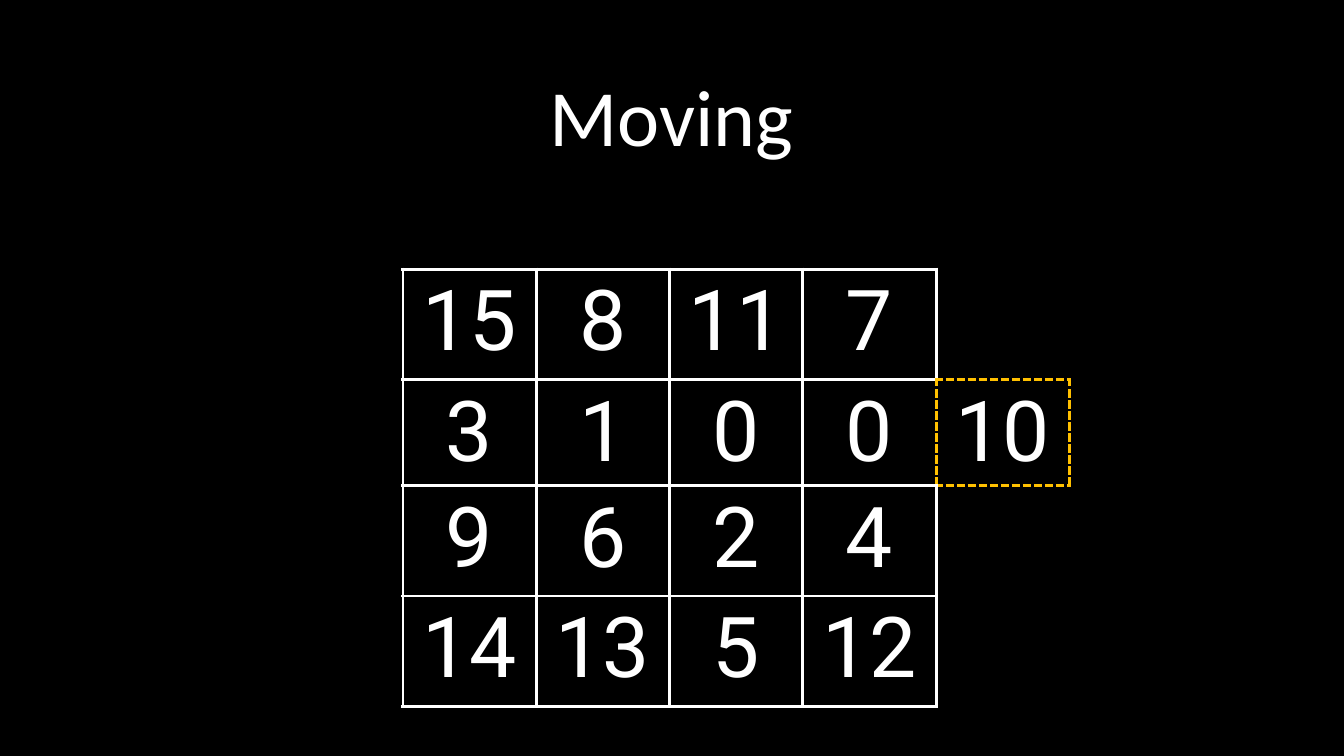
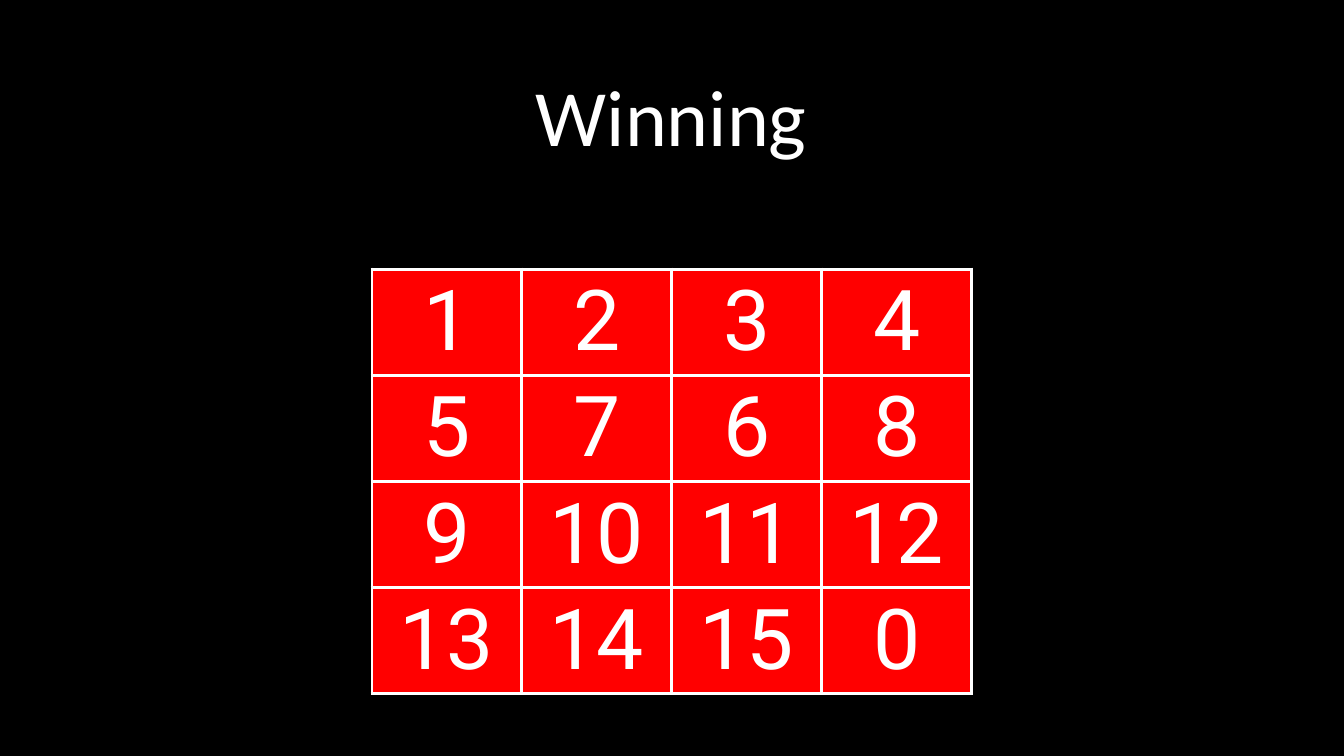
"""Build two slides that show the boards of a number puzzle."""
from dataclasses import dataclass

import lxml.etree
import pptx
import pptx.dml.color
import pptx.enum.text
import pptx.oxml.ns
import pptx.slide
import pptx.table
import pptx.text.text
import pptx.util
from pptx.util import Inches

BLACK, WHITE, RED, GOLD = "000000", "FFFFFF", "FF0000", "FFC000"
SIDES = {"a:lnL": (0, -1), "a:lnR": (0, 1), "a:lnT": (-1, 0), "a:lnB": (1, 0)}
SIZE = 4


@dataclass(frozen=True)
class Board:
    title: str
    rows: list[list[str]]
    left: float
    width: float
    heights: list[float]
    fill: str


BOARDS = [
    Board(
        "Moving",
        [
            ["15", "8", "11", "7", ""],
            ["3", "1", "0", "0", "10"],
            ["9", "6", "2", "4", ""],
            ["14", "13", "5", "12", ""],
        ],
        5.33, 1.764, [1.46, 1.4, 1.46, 1.46], BLACK,
    ),
    Board(
        "Winning",
        [
            ["1", "2", "3", "4"],
            ["5", "7", "6", "8"],
            ["9", "10", "11", "12"],
            ["13", "14", "15", "0"],
        ],
        4.92, 1.984, [1.4] * SIZE, RED,
    ),
]


def color(code: str) -> pptx.dml.color.RGBColor:
    return pptx.dml.color.RGBColor.from_string(code)


def style(para: pptx.text.text._Paragraph, name: str, size: int) -> None:
    para.alignment = pptx.enum.text.PP_ALIGN.CENTER
    para.font.name = name
    para.font.size = pptx.util.Pt(size)
    para.font.color.rgb = color(WHITE)


def add_title(slide: pptx.slide.Slide, text: str) -> None:
    title = slide.shapes.title
    title.left, title.top = Inches(1.26), Inches(0.26)
    title.width, title.height = Inches(15.24), Inches(2.51)
    frame = title.text_frame
    frame.text = text
    frame.auto_size = pptx.enum.text.MSO_AUTO_SIZE.NONE
    frame.vertical_anchor = pptx.enum.text.MSO_ANCHOR.MIDDLE
    frame.margin_left = frame.margin_right = Inches(0.04)
    frame.margin_top = frame.margin_bottom = Inches(0.04)
    style(frame.paragraphs[0], "Calibri", 76)


def is_tile(board: Board, row: int, col: int) -> bool:
    return 0 <= row < SIZE and 0 <= col < len(board.rows[row]) and bool(board.rows[row][col])


def add_edges(cell: pptx.table._Cell, board: Board, row: int, col: int) -> None:
    props = cell._tc.get_or_add_tcPr()
    for place, (tag, (down, right)) in enumerate(SIDES.items()):
        pair = [(row, col), (row + down, col + right)]
        tiles = [spot for spot in pair if is_tile(board, *spot)]
        line = lxml.etree.Element(pptx.oxml.ns.qn(tag), w=str(pptx.util.Pt(3)))
        props.insert(place, line)
        if not tiles:
            lxml.etree.SubElement(line, pptx.oxml.ns.qn("a:noFill"))
            continue
        moved = any(spot[1] >= SIZE for spot in tiles)
        fill = lxml.etree.SubElement(line, pptx.oxml.ns.qn("a:solidFill"))
        lxml.etree.SubElement(fill, pptx.oxml.ns.qn("a:srgbClr"), val=GOLD if moved else WHITE)
        dash = "dash" if moved else "solid"
        lxml.etree.SubElement(line, pptx.oxml.ns.qn("a:prstDash"), val=dash)


def add_board(slide: pptx.slide.Slide, board: Board) -> None:
    count = len(board.rows[0])
    table = slide.shapes.add_table(
        SIZE, count, Inches(board.left), Inches(3.56),
        Inches(board.width * count), Inches(sum(board.heights)),
    ).table
    table.first_row = table.horz_banding = False
    for col in table.columns:
        col.width = Inches(board.width)
    for row, (texts, height) in enumerate(zip(board.rows, board.heights)):
        table.rows[row].height = Inches(height)
        for col, text in enumerate(texts):
            cell = table.cell(row, col)
            if text:
                cell.text = text
                style(cell.text_frame.paragraphs[0], "Roboto", 80)
                cell.fill.solid()
                cell.fill.fore_color.rgb = color(board.fill)
            else:
                cell.fill.background()
            add_edges(cell, board, row, col)


def main() -> None:
    deck = pptx.Presentation()
    deck.slide_width, deck.slide_height = Inches(17.78), Inches(10)
    back = deck.slide_master.background.fill
    back.solid()
    back.fore_color.rgb = color(BLACK)
    for board in BOARDS:
        slide = deck.slides.add_slide(deck.slide_layouts.get_by_name("Title Only"))
        add_title(slide, board.title)
        add_board(slide, board)
    deck.save("out.pptx")


if __name__ == "__main__":
    main()
